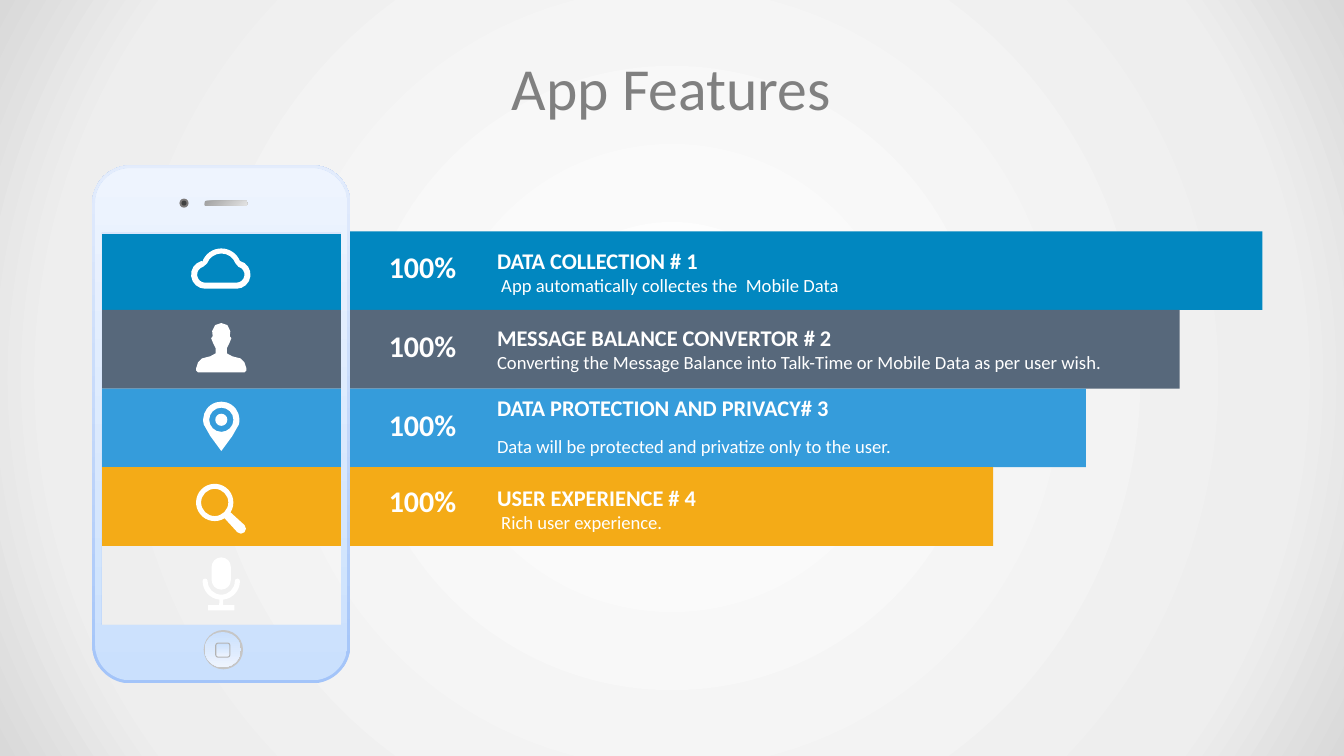
"""Build the App Features slide: a phone whose screen rows extend into feature bars."""
from math import ceil, cos, radians, sin, tan

from pptx import Presentation
from pptx import util as u
from pptx.dml.color import RGBColor
from pptx.enum import shapes, text
from pptx.oxml import parse_xml
from pptx.oxml.ns import qn

THEME = {
    "font": "Calibri", "title": "808080", "white": "FFFFFF",
    "bars": ["0187C0", "57687B", "359CDB", "F4AB17"],
    "rim": ("A3C4F9", "E3ECFC", 90), "face": ("CAE0FD", "EEF4FE", 90),
    "button": ("CAE0FD", "EEF4FE", 270), "speaker": ("A0A0A0", "E3E3E3", 315),
    "lens": "7C7979", "pupil": "404040", "ring": "C6C6C6", "key": "B3B3B3",
    "backdrop": [(0, "FFFFFF"), (81, "EEEEEE"), (100, "D9D9D9")],
    "size": {"title": 42.6, "share": 21.4, "heading": 16, "detail": 13.3},
}
SIZE = THEME["size"]
AXIS, LEFT, ROW, FIRST = 2.195, 1.01, 0.78, 2.685
PHONE_MIDDLE = 4.21


def paint(shape, fill):
    """Fill a shape with a colour, or with (start, end, angle), without line or shadow."""
    shape.shadow.inherit = False
    shape.line.fill.background()
    if isinstance(fill, str):
        shape.fill.solid()
        shape.fill.fore_color.rgb = RGBColor.from_string(fill)
    else:
        shape.fill.gradient()
        shape.fill.gradient_angle = fill[2]
        for stop, colour in zip(shape.fill.gradient_stops, fill):
            stop.color.rgb = RGBColor.from_string(colour)


def arc(x, y, radius, start=0, end=360):
    """Return an arc as Bezier points, handles flagged, in hundredths of an inch."""
    count = ceil(abs(end - start) / 90)
    step = radians(end - start) / count
    pull = radius * 4 / 3 * tan(step / 4)
    points = []
    for i in range(count + 1):
        a = radians(start) + step * i
        px, py = x + radius * cos(a), y + radius * sin(a)
        dx, dy = -pull * sin(a), pull * cos(a)
        if i > 0:
            points.append((px - dx, py - dy, "handle"))
        points.append((px, py))
        if i < count:
            points.append((px + dx, py + dy, "handle"))
    return points


prs = Presentation()
prs.slide_width, prs.slide_height = u.Inches(13.33), u.Inches(7.5)
slide = prs.slides.add_slide(prs.slide_layouts[6])

slide.background.fill.gradient()
backdrop = slide.element.find(".//" + qn("a:gradFill"))
stops = "".join(f'<a:gs pos="{at * 1000}"><a:srgbClr val="{colour}"/></a:gs>'
                for at, colour in THEME["backdrop"])
backdrop.getparent().replace(backdrop, parse_xml(
    '<a:gradFill xmlns:a="http://schemas.openxmlformats.org/drawingml/2006/main" rotWithShape="1">'
    f'<a:gsLst>{stops}</a:gsLst><a:path path="circle">'
    '<a:fillToRect l="50000" t="50000" r="50000" b="50000"/></a:path></a:gradFill>'))

centres = [FIRST + ROW * i for i in range(5)]
for centre, width, colour in zip(centres, (11.51, 10.69, 9.76, 8.84), THEME["bars"]):
    bar = slide.shapes.add_shape(
        shapes.MSO_SHAPE.RECTANGLE, u.Inches(LEFT), u.Inches(centre - ROW / 2),
        u.Inches(width), u.Inches(ROW))
    paint(bar, colour)

outlines = []
for inset, radius, shift, fill in ((0, 38, 0, THEME["rim"]), (3, 35, -2, THEME["face"])):
    x, y = 128 - inset - radius, 257 - inset - radius
    case = []
    for turn, (across, down) in enumerate([(x, y), (-x, y), (-x, -y), (x, -y)]):
        case += arc(across, down, radius, 90 * turn, 90 * turn + 90)
    top, bottom = -189 + shift, 201 + shift
    screen = [(-119, top), (119, top), (119, bottom), (-119, bottom)]
    outlines.append((PHONE_MIDDLE, [case, screen], fill))

cloud = [arc(-16, 4, side, 90, 255) + arc(0, -2, crown, 200, 340) + arc(15, 4, side, 285, 450)
         for side, crown in ((14, 20), (8, 15))]
half_person = [(0, -26), (6, -24), (9, -18), (8.5, -13), (10, -11), (8, -6), (5.5, -1),
               (5.5, 4), (11, 7), (19, 9), (23, 13), (25, 19), (25, 21), (23, 23)]
person = [half_person + [(-x, y) for x, y in half_person[:0:-1]]]
pin = [arc(0, -8, 18, 165, 375) + [(11, 8), (0, 23), (-11, 8)],
       arc(0, -8, 12), arc(0, -8, 6)]
magnifier = [arc(-6.5, -4, 18.5, 58, 392) + arc(19.5, 22, 5, -45, 135), arc(-6.5, -4, 13.5)]
microphone = [
    arc(0, -18, 9.5, 180, 360) + arc(0, -5, 9.5, 0, 180),
    arc(0, -4, 18.5, 0, 84)
    + [(2, 20), (13, 20), (13, 25), (-13, 25), (-13, 20), (-2, 20)]
    + arc(0, -4, 18.5, 96, 180) + arc(-16, -4, 2.5, 180, 360)
    + arc(0, -4, 13.5, 180, 0) + arc(16, -4, 2.5, 180, 360)]
icons = [cloud, person, pin, magnifier, microphone]
outlines += [(centre, icon, THEME["white"]) for centre, icon in zip(centres, icons)]

for centre, contours, fill in outlines:
    pen, flags = None, []
    for contour in contours:
        points = [(point[0] * 100, point[1] * 100) for point in contour]
        flags += [len(point) == 3 for point in contour[1:]]
        if pen is None:
            pen = slide.shapes.build_freeform(*points[0], scale=u.Inches(1) / 10000)
        else:
            pen.move_to(*points[0])
        pen.add_line_segments(points[1:], close=True)
    outline = pen.convert_to_shape(u.Inches(AXIS), u.Inches(centre))
    paint(outline, fill)
    handles = []
    for segment, is_handle in zip(list(outline.element.iter(qn("a:lnTo"))), flags):
        if is_handle:
            handles.append(segment)
        elif handles:
            curve = segment.makeelement(qn("a:cubicBezTo"))
            segment.addprevious(curve)
            for part in (*handles, segment):
                curve.append(part[0])
                part.getparent().remove(part)
            handles = []

OVAL, ROUNDED = shapes.MSO_SHAPE.OVAL, shapes.MSO_SHAPE.ROUNDED_RECTANGLE
phone_parts = [
    (OVAL, 1.78, 1.97, 0.09, 0.09, THEME["lens"]),
    (OVAL, 1.8, 1.99, 0.05, 0.05, THEME["pupil"]),
    (OVAL, 2.02, 6.25, 0.39, 0.39, THEME["ring"]),
    (OVAL, 2.03, 6.27, 0.36, 0.35, THEME["button"]),
    (ROUNDED, 2.03, 1.99, 0.42, 0.05, THEME["speaker"]),
    (ROUNDED, 2.14, 6.38, 0.14, 0.14, THEME["button"]),
]
for kind, *box, fill in phone_parts:
    phone_part = slide.shapes.add_shape(kind, *map(u.Inches, box))
    paint(phone_part, fill)
home_key = phone_part
home_key.line.color.rgb = RGBColor.from_string(THEME["key"])
home_key.line.width = u.Pt(0.75)

TITLE, SHARE, HEADING, DETAIL = "title", "share", "heading", "detail"
features = [
    (2.51, 2.45, 6.77, 0.49, "DATA COLLECTION # 1",
     " App automatically collectes the  Mobile Data"),
    (3.29, 3.21, 6.53, 0.49, "MESSAGE BALANCE CONVERTOR # 2",
     "Converting the Message Balance into Talk-Time or Mobile Data as per user wish."),
    (4.07, 3.91, 5.53, 0.63, "DATA PROTECTION AND PRIVACY# 3",
     "Data will be protected and privatize only to the user."),
    (4.83, 4.8, 4.64, 0.49, "USER EXPERIENCE # 4", " Rich user experience."),
]
captions = [(0.56, 0.5, 12.2, 0.72, [[(TITLE, "App Features")]])]
for share_top, top, width, height, heading, detail in features:
    captions.append((3.79, share_top, 0.8, 0.32, [[(SHARE, "100%")]]))
    lines = [(HEADING, heading), (DETAIL, detail)]
    paragraphs = [[line] for line in lines] if height > 0.5 else [lines]
    captions.append((4.93, top, width, height, paragraphs))

for *box, paragraphs in captions:
    frame = slide.shapes.add_textbox(*map(u.Inches, box)).text_frame
    frame.word_wrap = True
    frame.vertical_anchor = text.MSO_ANCHOR.MIDDLE
    frame.margin_left = frame.margin_right = frame.margin_top = frame.margin_bottom = 0
    for number, lines in enumerate(paragraphs):
        paragraph = frame.add_paragraph() if number else frame.paragraphs[0]
        role = lines[0][0]
        if role in (TITLE, SHARE):
            paragraph.alignment = text.PP_ALIGN.CENTER
        if role == SHARE:
            paragraph.line_spacing = 0.9
        if role != TITLE:
            paragraph.space_after = u.Pt(10)
        paragraph.font.name = THEME["font"]
        paragraph.font.color.rgb = RGBColor.from_string(
            THEME["title" if role == TITLE else "white"])
        for position, (kind, words) in enumerate(lines):
            if position:
                paragraph.add_line_break()
            run = paragraph.add_run()
            run.text = words
            run.font.size = u.Pt(SIZE[kind])
            run.font.bold = kind in (SHARE, HEADING)

prs.save("out.pptx")
